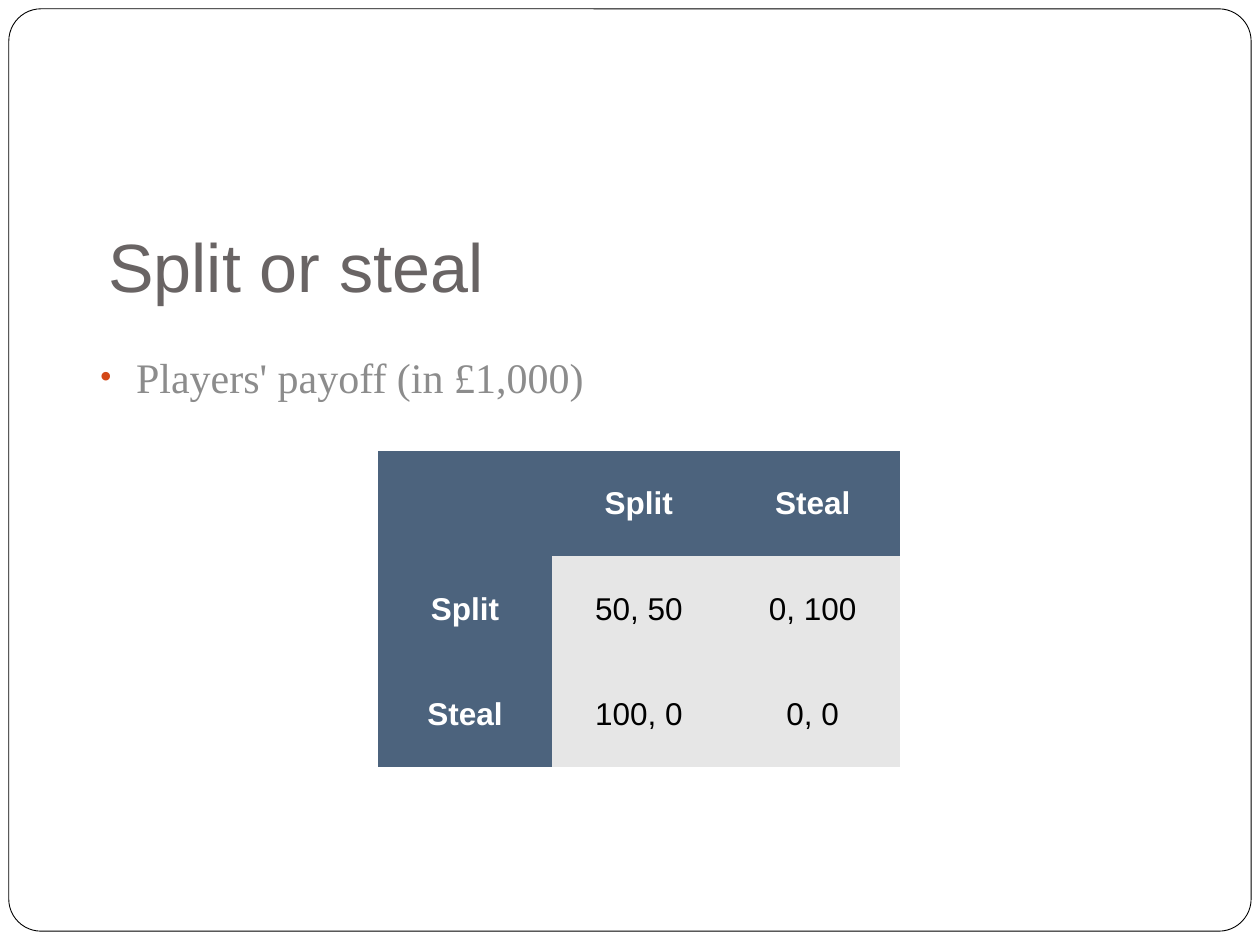
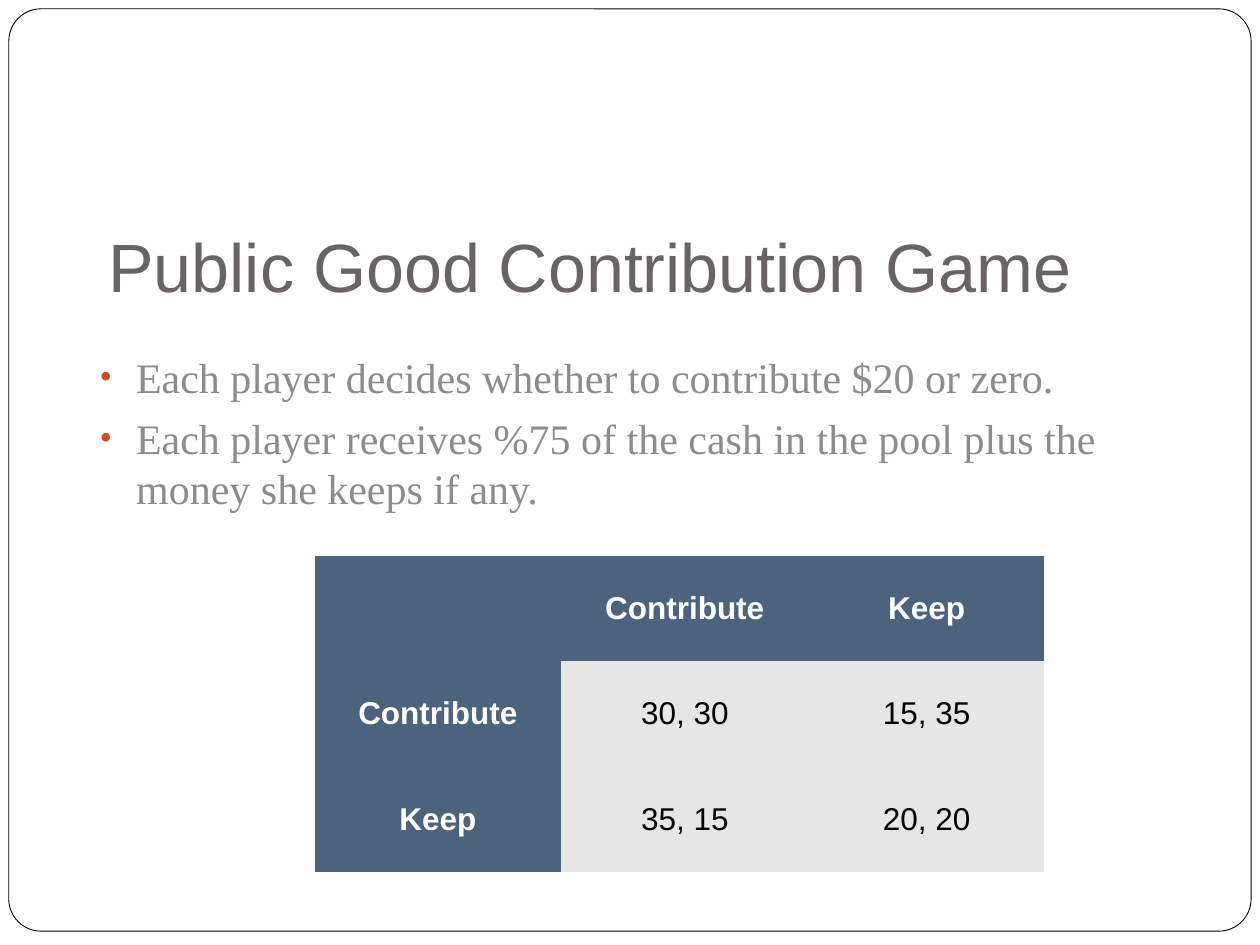
from lxml.etree import SubElement
from pptx import Presentation
from pptx.dml.color import RGBColor
from pptx.enum.shapes import MSO_SHAPE
from pptx.enum.text import MSO_ANCHOR, MSO_AUTO_SIZE, PP_ALIGN
from pptx.oxml.ns import qn
from pptx.util import Inches, Pt

COLOURS = {
    "frame": "000000",
    "paper": "FFFFFF",
    "title": "696464",
    "body": "8C8C8C",
    "bullet": "D34817",
    "header": "4C637D",
    "header_text": "FFFFFF",
    "cell": "E6E6E6",
    "cell_text": "000000",
}
HEADING_FONT = "Arial"
BODY_FONT = "Times New Roman"
NO_GRID_STYLE = "{2D5ABB26-0587-4C30-8999-92F81FD0307C}"

TITLE_BOX = (0.79, 1.04, 8.5, 1.49)
BODY_BOX = (0.79, 2.79, 8.5, 1.46)
FRAME_BOX = (0.07, 0.07, 9.86, 7.32)
TABLE_HEIGHT = 2.51

GAMES = [
    {
        "title": "Split or steal",
        "points": ["Players' payoff (in £1,000)"],
        "moves": ["Split", "Steal"],
        "payoffs": [["50, 50", "0, 100"], ["100, 0", "0, 0"]],
        "corner": (3, 3.58),
        "widths": [1.38, 1.38, 1.38],
    },
    {
        "title": "Public Good Contribution Game",
        "points": [
            "Each player decides whether to contribute $20 or zero.",
            "Each player receives %75 of the cash in the pool plus the money she keeps if any.",
        ],
        "moves": ["Contribute", "Keep"],
        "payoffs": [["30, 30", "15, 35"], ["35, 15", "20, 20"]],
        "corner": (2.5, 4.41),
        "widths": [1.95, 1.97, 1.87],
    },
]


def colour(name):
    return RGBColor.from_string(COLOURS[name])


def write(para, text, *, size, font, fill, bold=False, align=PP_ALIGN.LEFT):
    para.alignment = align
    span = para.add_run()
    span.text = text
    span.font.size = Pt(size)
    span.font.name = font
    span.font.bold = bold
    span.font.color.rgb = colour(fill)


def set_margins(target, left, top, right, bottom):
    target.margin_left, target.margin_top = Inches(left), Inches(top)
    target.margin_right, target.margin_bottom = Inches(right), Inches(bottom)


def place(placeholder, box, anchor, margins):
    """Move a placeholder to the box and return its text frame."""
    placeholder.left, placeholder.top, placeholder.width, placeholder.height = map(Inches, box)
    frame = placeholder.text_frame
    frame.word_wrap = True
    frame.auto_size = MSO_AUTO_SIZE.NONE
    frame.vertical_anchor = anchor
    set_margins(frame, *margins)
    return frame


def add_bullet(para):
    properties = para._p.get_or_add_pPr()
    properties.set("marL", str(Inches(0.29)))
    properties.set("indent", str(-Inches(0.29)))
    tint = SubElement(properties, qn("a:buClr"))
    SubElement(tint, qn("a:srgbClr"), val=COLOURS["bullet"])
    SubElement(properties, qn("a:buSzPct"), val="85000")
    SubElement(properties, qn("a:buFont"), typeface=BODY_FONT)
    SubElement(properties, qn("a:buChar"), char="•")


def add_frame(page, box):
    """Draw the rounded page border behind everything else."""
    frame = page.shapes.add_shape(MSO_SHAPE.ROUNDED_RECTANGLE, *map(Inches, box))
    frame.adjustments[0] = 0.035
    frame.shadow.inherit = False
    frame.fill.solid()
    frame.fill.fore_color.rgb = colour("paper")
    frame.line.color.rgb = colour("frame")
    frame.line.width = Pt(0.5)
    page.shapes.title._element.addprevious(frame._element)


def add_title(page, text, box):
    frame = place(page.shapes.title, box, MSO_ANCHOR.BOTTOM, (0.07, 0.04, 0.07, 0.1))
    write(frame.paragraphs[0], text, size=39, font=HEADING_FONT, fill="title")


def add_points(page, points, box):
    frame = place(page.placeholders[1], box, MSO_ANCHOR.TOP, (0, 0, 0, 0))
    for index, point in enumerate(points):
        para = frame.add_paragraph() if index else frame.paragraphs[0]
        para.space_before = Pt(5.8)
        add_bullet(para)
        write(para, point, size=24, font=BODY_FONT, fill="body")


def add_payoff_table(page, moves, payoffs, corner, widths):
    """Draw the game matrix, with the moves along the top and the left side."""
    rows = [["", *moves]] + [[move, *values] for move, values in zip(moves, payoffs)]
    box = (*corner, sum(widths), TABLE_HEIGHT)
    table = page.shapes.add_table(len(rows), len(widths), *map(Inches, box)).table
    table.first_row = table.horz_banding = False
    table._tbl.tblPr.find(qn("a:tableStyleId")).text = NO_GRID_STYLE
    for column, width in zip(table.columns, widths):
        column.width = Inches(width)
    for r, values in enumerate(rows):
        table.rows[r].height = Inches(TABLE_HEIGHT / len(rows))
        for c, value in enumerate(values):
            is_header = r == 0 or c == 0
            kind = "header" if is_header else "cell"
            cell = table.cell(r, c)
            cell.fill.solid()
            cell.fill.fore_color.rgb = colour(kind)
            cell.vertical_anchor = MSO_ANCHOR.MIDDLE
            set_margins(cell, 0.05, 0.05, 0.05, 0.05)
            if value:
                write(cell.text_frame.paragraphs[0], value, size=18, font=HEADING_FONT,
                      fill=f"{kind}_text", bold=is_header, align=PP_ALIGN.CENTER)


def add_game_page(deck, game):
    page = deck.slides.add_slide(deck.slide_layouts[1])
    add_frame(page, FRAME_BOX)
    add_title(page, game["title"], TITLE_BOX)
    add_points(page, game["points"], BODY_BOX)
    add_payoff_table(page, game["moves"], game["payoffs"], game["corner"], game["widths"])


def main():
    deck = Presentation()
    deck.slide_width, deck.slide_height = Inches(10), Inches(7.5)
    for game in GAMES:
        add_game_page(deck, game)
    deck.save("out.pptx")


if __name__ == "__main__":
    main()
